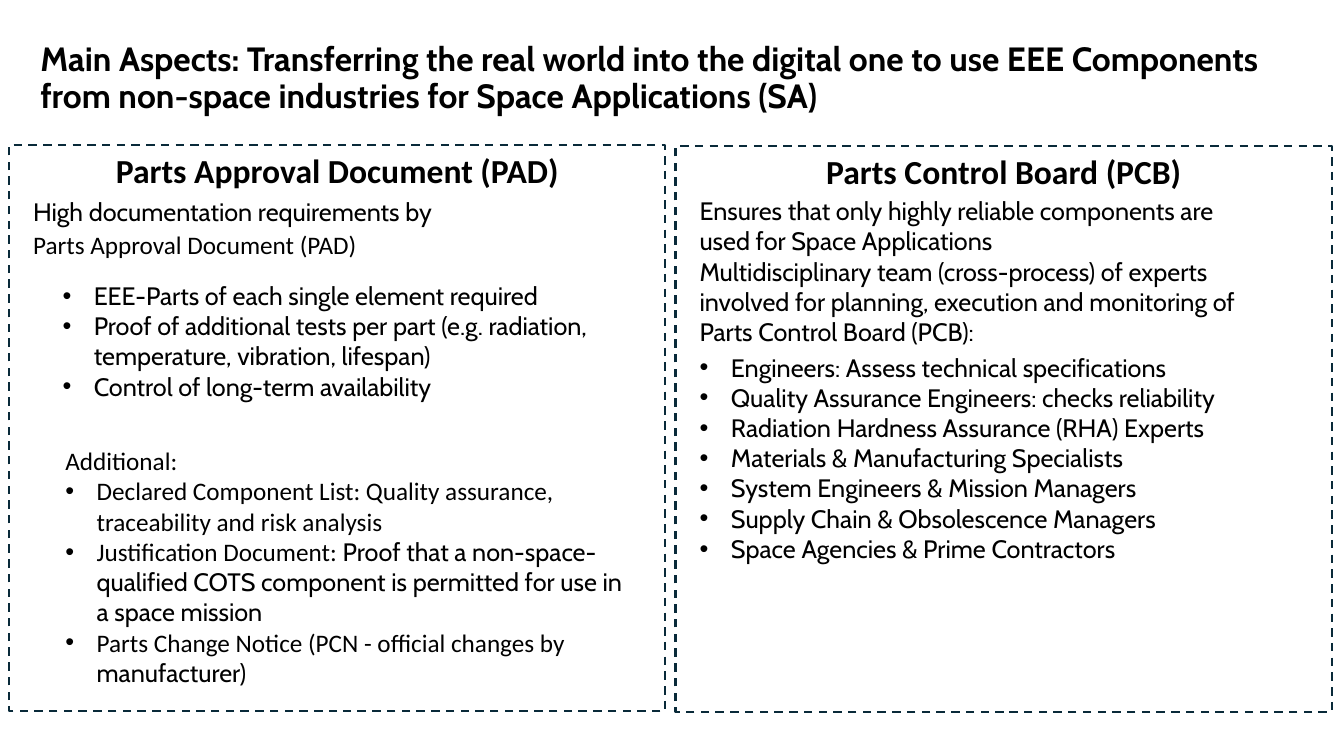
from lxml import etree
from pptx import Presentation
from pptx import util as u
from pptx.dml import color
from pptx.enum import dml, shapes, text
from pptx.oxml import ns

INK, EDGE = "000000", "092A39"
SANS, BODY = "Calibri", "Cabin"


def paint(code):
    return color.RGBColor.from_string(code)


def write(shape, rows, font=BODY, size=18, bold=False, align="LEFT",
          anchor="TOP", space=1.0, dots=0):
    frame = shape.text_frame
    frame.word_wrap = True
    frame.auto_size = text.MSO_AUTO_SIZE.NONE
    frame.vertical_anchor = getattr(text.MSO_ANCHOR, anchor)
    for i, row in enumerate(rows):
        para = frame.paragraphs[0] if i == 0 else frame.add_paragraph()
        para.alignment = getattr(text.PP_ALIGN, align)
        para.line_spacing = space
        para.space_before = u.Pt(0)
        for part in [row] if isinstance(row, str) else row:
            words, face = (part, font) if isinstance(part, str) else part
            run = para.add_run()
            run.text = words
            run.font.name = face
            run.font.size = u.Pt(size)
            run.font.bold = bold
            run.font.color.rgb = paint(INK)
        if dots and i >= len(rows) - dots:
            bullet(para)


def bullet(para):
    props = para._p.get_or_add_pPr()
    props.set("marL", str(u.Inches(0.31)))
    props.set("indent", str(u.Inches(-0.31)))
    etree.SubElement(props, ns.qn("a:buFont")).set("typeface", "Arial")
    etree.SubElement(props, ns.qn("a:buChar")).set("char", "•")


def place(shape, left, top, width, height):
    shape.left, shape.top = u.Inches(left), u.Inches(top)
    shape.width, shape.height = u.Inches(width), u.Inches(height)
    return shape


def label(slide, left, top, width, height, rows, **fmt):
    box = slide.shapes.add_textbox(0, 0, 0, 0)
    write(place(box, left, top, width, height), rows, **fmt)


def panel(slide, left, top, width, height, head):
    box = slide.shapes.add_shape(shapes.MSO_SHAPE.RECTANGLE, 0, 0, 0, 0)
    place(box, left, top, width, height)
    box.shadow.inherit = False
    box.fill.background()
    box.line.color.rgb = paint(EDGE)
    box.line.width = u.Pt(1.5)
    box.line.dash_style = dml.MSO_LINE.DASH
    write(box, [head], font=SANS, size=24, bold=True, align="CENTER")


def title(slide, left, top, width, height):
    write(place(slide.shapes.title, left, top, width, height),
          ["Main Aspects: Transferring the real world into the digital one to use "
           "EEE Components from non-space industries for Space Applications (SA)"],
          size=24, bold=True, anchor="MIDDLE", space=0.9)


def pad(slide, left, top, width, height):
    name = "Parts Approval Document (PAD)"
    panel(slide, left, top, width, height, name)
    label(slide, left + 0.14, top + 0.46, 4.3, 0.4,
          ["High documentation requirements by"])
    label(slide, left + 0.14, top + 0.79, 3.6, 0.4, [name], font=SANS)
    needs = place(slide.placeholders[1], left + 0.43, top + 1.29, 5.52, 1.31)
    write(needs, [
        "EEE-Parts of each single element required",
        "Proof of additional tests per part (e.g. radiation, temperature, "
        "vibration, lifespan)",
        "Control of long-term availability",
    ], dots=3)
    label(slide, left + 0.46, top + 2.93, 5.75, 2.52, [
        "Additional:",
        "Declared Component List: Quality assurance, traceability and risk analysis",
        ["Justification Document: ",
         ("Proof that a non-space-qualified COTS component is permitted for use "
          "in a space mission", BODY)],
        ["Parts Change Notice (PCN - official changes by ", ("manufacturer)", BODY)],
    ], font=SANS, dots=3)


def pcb(slide, left, top, width, height):
    panel(slide, left, top, width, height, "Parts Control Board (PCB)")
    label(slide, left + 0.14, top + 0.44, 5.56, 1.62, [
        "Ensures that only highly reliable components are used for Space Applications",
        "Multidisciplinary team (cross-process) of experts involved for planning, "
        "execution and monitoring of Parts Control Board (PCB):",
    ])
    team = place(slide.placeholders[2], left + 0.14, top + 1.99, 6.37, 2.52)
    write(team, [
        "Engineers: Assess technical specifications",
        "Quality Assurance Engineers: checks reliability",
        "Radiation Hardness Assurance (RHA) Experts",
        "Materials & Manufacturing Specialists",
        "System Engineers & Mission Managers",
        "Supply Chain & Obsolescence Managers",
        "Space Agencies & Prime Contractors",
    ], dots=7)


def main():
    deck = Presentation()
    deck.slide_width, deck.slide_height = u.Inches(13.33), u.Inches(7.5)
    slide = deck.slides.add_slide(deck.slide_layouts[3])
    title(slide, 0.3, 0.37, 12.43, 0.83)
    pad(slide, 0.09, 1.44, 6.51, 5.61)
    pcb(slide, 6.7, 1.45, 6.51, 5.61)
    deck.save("out.pptx")


if __name__ == "__main__":
    main()
